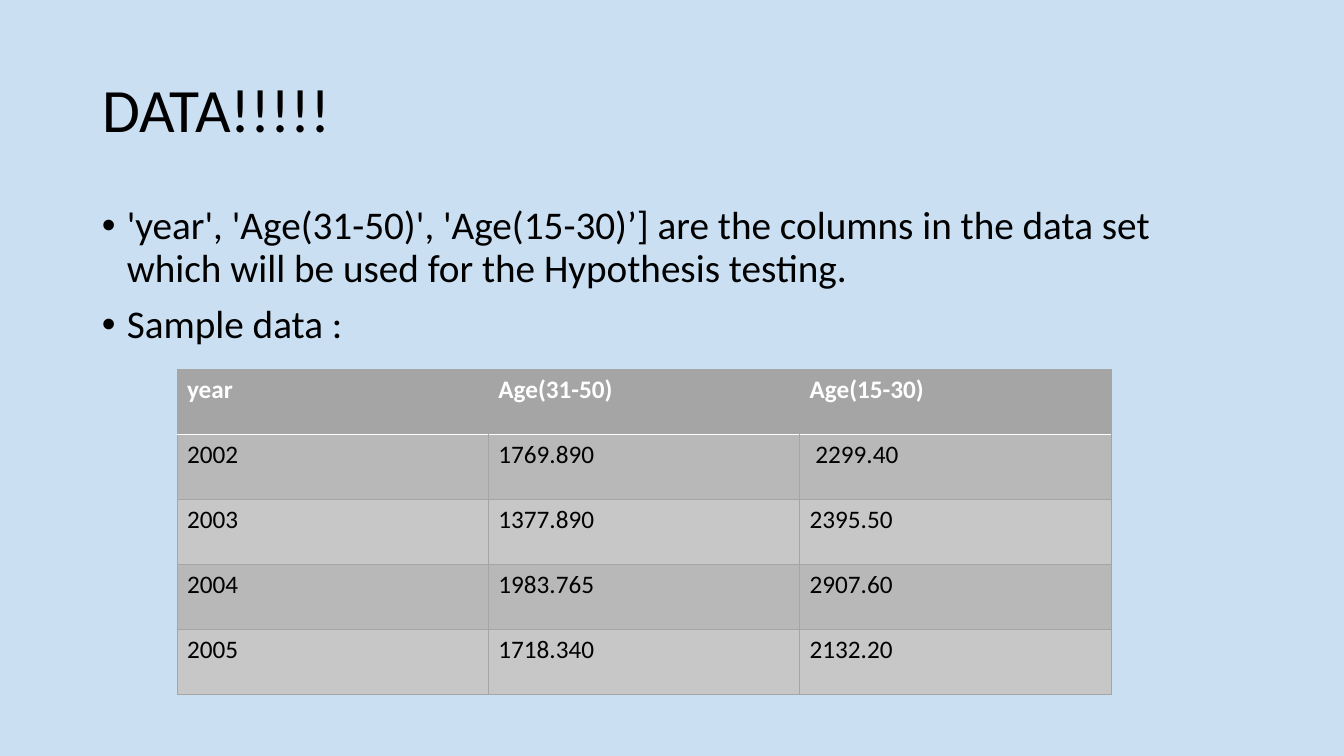
from lxml.etree import SubElement
from pptx import Presentation
from pptx.dml.color import RGBColor
from pptx.enum.text import MSO_ANCHOR, MSO_AUTO_SIZE, PP_ALIGN
from pptx.oxml.ns import qn
from pptx.util import Emu, Pt

SCALE = 12192000 / 1344
FONT = "Calibri"
COLORS = {
    "background": "CADFF2",
    "text": "000000",
    "header_text": "FFFFFF",
    "header": "A5A5A5",
    "dark_band": "B8B8B8",
    "light_band": "C7C7C7",
}
BULLETS = [
    "'year', 'Age(31-50)', 'Age(15-30)’] are the columns in the data set "
    "which will be used for the Hypothesis testing.",
    "Sample data :",
]
SAMPLE = [
    ["year", "Age(31-50)", "Age(15-30)"],
    ["2002", "1769.890", " 2299.40"],
    ["2003", "1377.890", "2395.50"],
    ["2004", "1983.765", "2907.60"],
    ["2005", "1718.340", "2132.20"],
]


def px(pixels):
    return Emu(round(pixels * SCALE))


def color(name):
    return RGBColor.from_string(COLORS[name])


def write(paragraph, text, size, ink="text", bold=False, spacing=None, before=0):
    paragraph.alignment = PP_ALIGN.LEFT
    paragraph.line_spacing = spacing
    paragraph.space_before = Pt(before)
    run = paragraph.add_run()
    run.text = text
    run.font.name = FONT
    run.font.size = Pt(size)
    run.font.bold = bold
    run.font.color.rgb = color(ink)


def add_bullet(paragraph, indent):
    properties = paragraph._p.get_or_add_pPr()
    properties.set("marL", str(px(indent)))
    properties.set("indent", str(-px(indent)))
    SubElement(properties, qn("a:buFont"), typeface="Arial")
    SubElement(properties, qn("a:buChar"), char="•")


def set_borders(cell, borders):
    """Borders map a side, in schema order L, R, T, B, to (color, points)."""
    properties = cell._tc.get_or_add_tcPr()
    for index, (side, (name, width)) in enumerate(borders.items()):
        line = SubElement(properties, qn(f"a:ln{side}"), w=str(Pt(width)))
        if name:
            fill = SubElement(line, qn("a:solidFill"))
            SubElement(fill, qn("a:srgbClr"), val=COLORS[name])
        else:
            SubElement(line, qn("a:noFill"))
        properties.insert(index, line)


def place_title(slide, left, top, width, height):
    title = slide.shapes.title
    title.left, title.top, title.width, title.height = map(px, (left, top, width, height))
    frame = title.text_frame
    frame.vertical_anchor = MSO_ANCHOR.MIDDLE
    frame.auto_size = MSO_AUTO_SIZE.NONE
    write(frame.paragraphs[0], "DATA!!!!!", 44, spacing=0.9)


def place_bullets(slide, left, top, width, height):
    frame = slide.shapes.add_textbox(*map(px, (left, top, width, height))).text_frame
    frame.word_wrap = True
    for index, text in enumerate(BULLETS):
        paragraph = frame.add_paragraph() if index else frame.paragraphs[0]
        write(paragraph, text, 28, spacing=0.9, before=10)
        add_bullet(paragraph, 25)


def place_table(slide, left, top, width, height):
    row_count, column_count = len(SAMPLE), len(SAMPLE[0])
    table = slide.shapes.add_table(
        row_count, column_count, *map(px, (left, top, width, height))).table
    for column in table.columns:
        column.width = px(width / column_count)
    for row in table.rows:
        row.height = px(height / row_count)

    edge, divider, none = ("header", 0.5), ("header_text", 1), (None, 0)
    for r, values in enumerate(SAMPLE):
        header = r == 0
        band = "header" if header else "dark_band" if r % 2 else "light_band"
        for c, value in enumerate(values):
            cell = table.cell(r, c)
            cell.fill.solid()
            cell.fill.fore_color.rgb = color(band)
            write(cell.text_frame.paragraphs[0], value, 18,
                  ink="header_text" if header else "text", bold=header)
            set_borders(cell, {
                "L": none if header and c > 0 else edge,
                "R": none if header and c < column_count - 1 else edge,
                "T": divider if r == 1 else edge,
                "B": divider if header else edge,
            })


def build_data_slide(presentation):
    slide = presentation.slides.add_slide(presentation.slide_layouts[5])
    slide.background.fill.solid()
    slide.background.fill.fore_color.rgb = color("background")
    place_title(slide, 92, 40, 1160, 146)
    place_bullets(slide, 92, 201, 1160, 480)
    place_table(slide, 177, 369, 934, 326)


presentation = Presentation()
presentation.slide_width = px(1344)
presentation.slide_height = px(756)
build_data_slide(presentation)
presentation.save("out.pptx")
